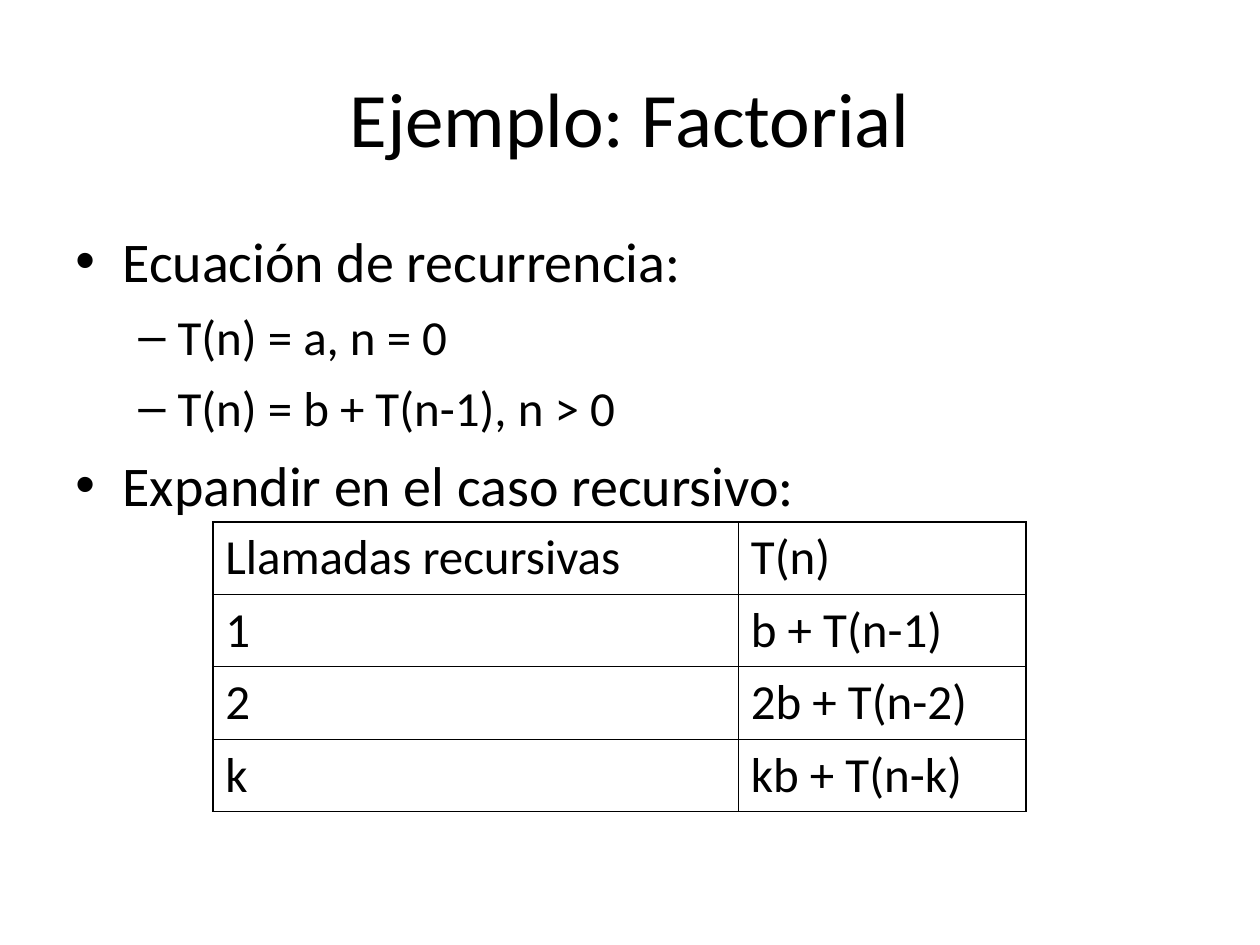
from dataclasses import dataclass
from typing import NamedTuple

from lxml.etree import SubElement
from pptx import Presentation
from pptx.dml.color import RGBColor
from pptx.enum.text import MSO_ANCHOR, PP_ALIGN
from pptx.oxml import parse_xml
from pptx.oxml.ns import nsdecls, qn
from pptx.util import Cm, Pt


@dataclass(frozen=True)
class Theme:
    """Colours, font and sizes of the deck."""
    ink: str = "000000"
    paper: str = "FFFFFF"
    font: str = "Calibri"
    title_size: int = 44
    level_sizes: tuple = (32, 28)
    table_size: int = 28
    outer_line: float = 1.08
    inner_line: float = 0.45


class Box(NamedTuple):
    """A region of the page, in centimetres."""
    left: float
    top: float
    width: float
    height: float


class Level(NamedTuple):
    """Bullet character, indents in centimetres and space before in points."""
    bullet: str
    margin: float
    hanging: float
    space_before: int


THEME = Theme()
LEVELS = (Level("•", 0.95, 0.95, 8), Level("–", 2.06, 0.79, 7))
RECURRENCE = (
    (0, "Ecuación de recurrencia:"),
    (1, "T(n) = a, n = 0"),
    (1, "T(n) = b + T(n-1), n > 0"),
    (0, "Expandir en el caso recursivo:"),
)
EXPANSION = (
    ("Llamadas recursivas", "T(n)"),
    ("1", "b + T(n-1)"),
    ("2", "2b + T(n-2)"),
    ("k", "kb + T(n-k)"),
)
COLUMN_SHARES = (0.646, 0.354)


def set_text(para, text, size):
    """Write text into a paragraph in the theme font."""
    para.text = text
    para.font.name = THEME.font
    para.font.size = Pt(size)
    para.font.color.rgb = RGBColor.from_string(THEME.ink)


def add_frame(page, box):
    """Add a wrapping text box and return its text frame."""
    frame = page.shapes.add_textbox(*map(Cm, box)).text_frame
    frame.word_wrap = True
    return frame


def set_bullet(para, level):
    """Give a paragraph its bullet and hanging indent."""
    properties = para._p.get_or_add_pPr()
    properties.set("marL", str(Cm(level.margin)))
    properties.set("indent", str(-Cm(level.hanging)))
    SubElement(properties, qn("a:buFont"), typeface="Arial")
    SubElement(properties, qn("a:buChar"), char=level.bullet)


def set_borders(cell, widths):
    """Draw the left, right, top and bottom borders of a cell."""
    properties = cell._tc.get_or_add_tcPr()
    for position, (side, width) in enumerate(zip("LRTB", widths)):
        properties.insert(position, parse_xml(
            f'<a:ln{side} {nsdecls("a")} w="{Pt(width)}"><a:solidFill>'
            f'<a:srgbClr val="{THEME.ink}"/></a:solidFill></a:ln{side}>'))


def add_title(page, box, text):
    """Place the centred title."""
    frame = add_frame(page, box)
    frame.vertical_anchor = MSO_ANCHOR.MIDDLE
    para = frame.paragraphs[0]
    para.alignment = PP_ALIGN.CENTER
    set_text(para, text, THEME.title_size)


def add_bullets(page, box, items):
    """Place the two-level bullet list."""
    frame = add_frame(page, box)
    for index, (depth, text) in enumerate(items):
        para = frame.add_paragraph() if index else frame.paragraphs[0]
        para.level = depth
        para.space_before = Pt(LEVELS[depth].space_before)
        set_bullet(para, LEVELS[depth])
        set_text(para, text, THEME.level_sizes[depth])


def add_expansion_table(page, box, rows):
    """Place the table with a heavier outer frame."""
    last_row, last_column = len(rows) - 1, len(COLUMN_SHARES) - 1
    table = page.shapes.add_table(
        len(rows), len(COLUMN_SHARES), *map(Cm, box)).table
    table.first_row = table.horz_banding = False
    for column, share in zip(table.columns, COLUMN_SHARES):
        column.width = Cm(box.width * share)
    for r, texts in enumerate(rows):
        for c, text in enumerate(texts):
            cell = table.cell(r, c)
            cell.fill.background()
            set_text(cell.text_frame.paragraphs[0], text, THEME.table_size)
            on_edge = (c == 0, c == last_column, r == 0, r == last_row)
            set_borders(cell, [THEME.outer_line if edge else THEME.inner_line
                               for edge in on_edge])


def build_page(deck):
    """Compose the factorial example page."""
    page = deck.slides.add_slide(deck.slide_layouts[6])
    page.background.fill.solid()
    page.background.fill.fore_color.rgb = RGBColor.from_string(THEME.paper)
    add_title(page, Box(1.27, 0.76, 22.86, 3.18), "Ejemplo: Factorial")
    add_bullets(page, Box(1.27, 4.45, 22.86, 12.57), RECURRENCE)
    add_expansion_table(page, Box(4.29, 10.52, 16.4, 5.84), EXPANSION)


def main():
    """Build and save the deck."""
    deck = Presentation()
    deck.slide_width, deck.slide_height = Cm(25.4), Cm(19.05)
    build_page(deck)
    deck.save("out.pptx")


if __name__ == "__main__":
    main()
